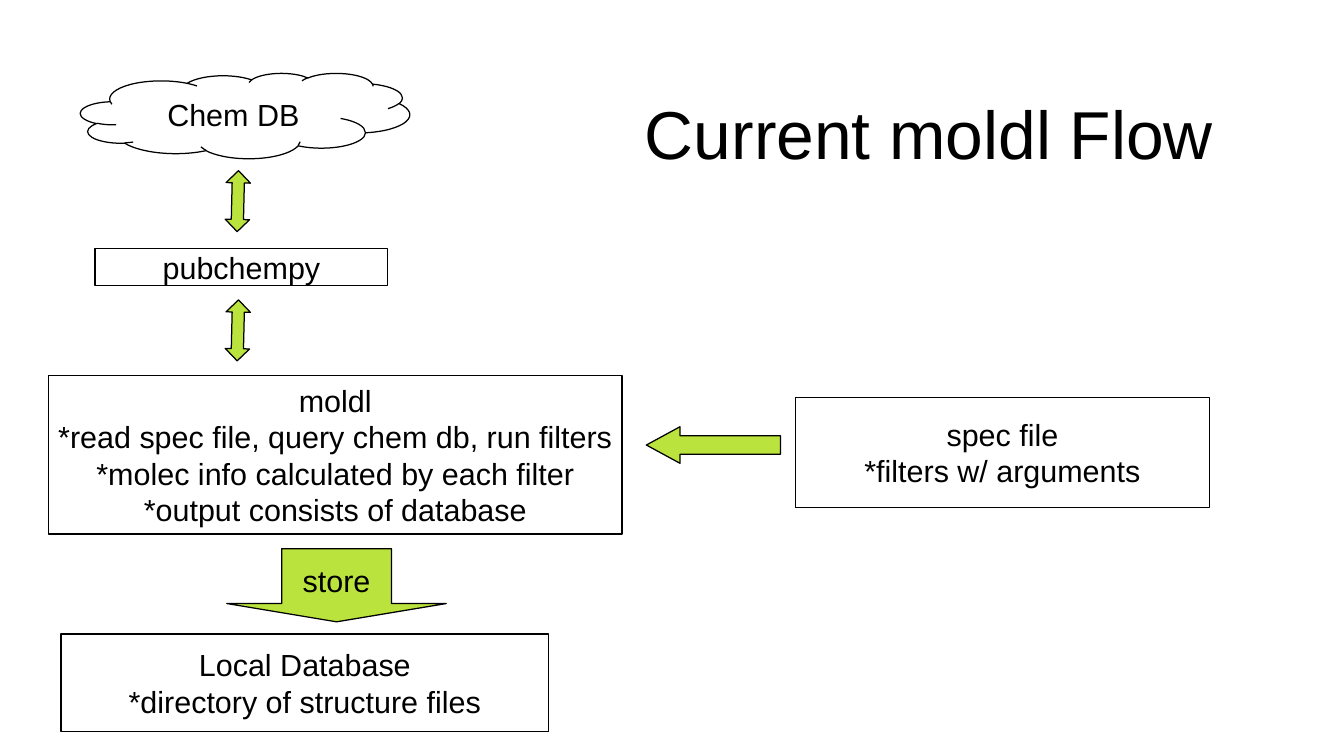
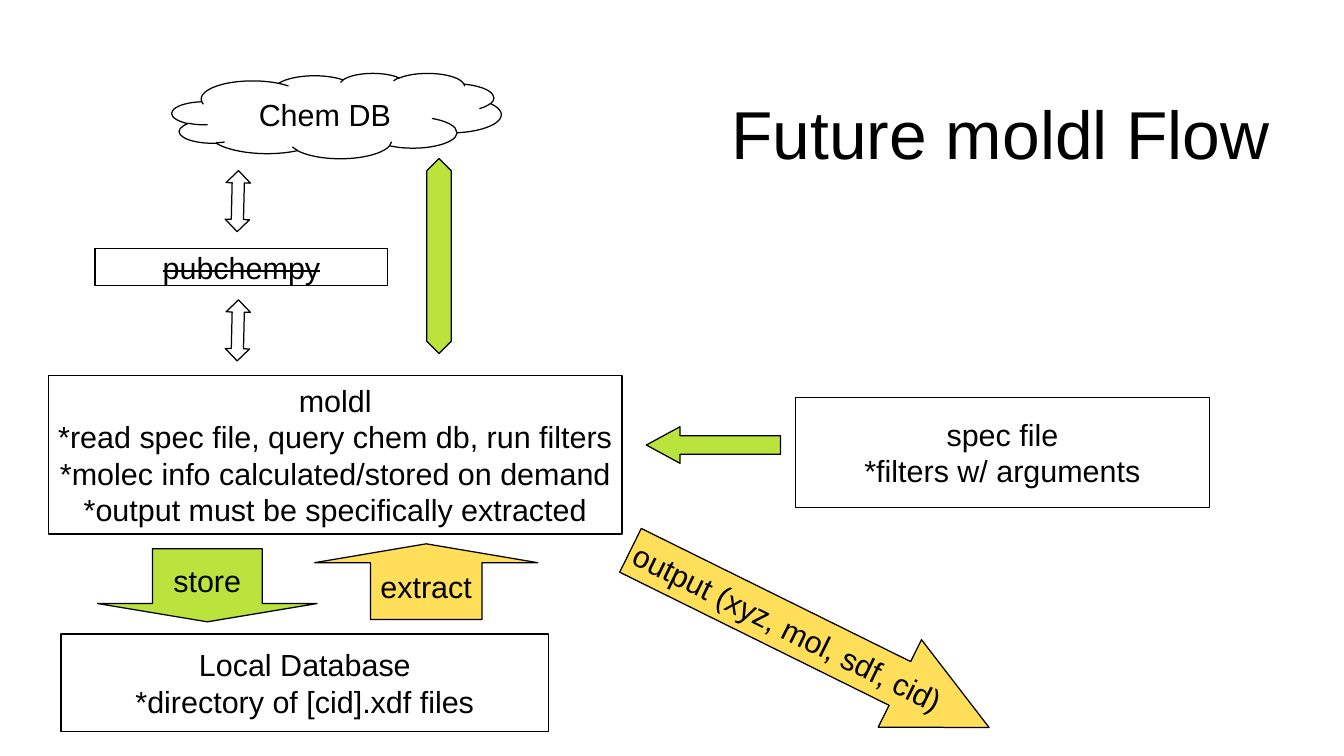
import pptx
import pptx.dml.color
import pptx.enum.shapes
import pptx.enum.text
import pptx.util

Inches = pptx.util.Inches
SHAPES = pptx.enum.shapes.MSO_SHAPE
COLOURS = {"black": "000000", "white": "FFFFFF", "green": "BBE33D", "yellow": "FFDE59"}
FONT = "Arial"
TITLE_SIZE = 40
LABEL_SIZE = 18


def colour(name):
    return pptx.dml.color.RGBColor.from_string(COLOURS[name])


def format_runs(text_frame, size, strike=False):
    for paragraph in text_frame.paragraphs:
        for run in paragraph.runs:
            run.font.name = FONT
            run.font.size = pptx.util.Pt(size)
            run.font.color.rgb = colour("black")
            if strike:
                run.font._element.set("strike", "sngStrike")


def add_title(slide, text, left, width):
    title = slide.shapes.add_textbox(Inches(left), Inches(0.7), Inches(width), Inches(1.34))
    title.text_frame.word_wrap = True
    title.text_frame.text = text
    format_runs(title.text_frame, TITLE_SIZE)


def add_label(shape, text, strike):
    text_frame = shape.text_frame
    text_frame.word_wrap = False
    text_frame.vertical_anchor = pptx.enum.text.MSO_ANCHOR.MIDDLE
    text_frame.text = text
    for paragraph in text_frame.paragraphs:
        paragraph.alignment = pptx.enum.text.PP_ALIGN.CENTER
    format_runs(text_frame, LABEL_SIZE, strike)


def add_block(slide, kind, bounds, fill="white", text="", strike=False):
    shape = slide.shapes.add_shape(kind, *map(Inches, bounds))
    shape.shadow.inherit = False
    shape.fill.solid()
    shape.fill.fore_color.rgb = colour(fill)
    shape.line.color.rgb = colour("black")
    shape.line.width = pptx.util.Pt(0)
    if text:
        add_label(shape, text, strike)
    return shape


def add_arrow(slide, kind, bounds, fill, head, text="", rotation=0):
    arrow = add_block(slide, kind, bounds, fill, text)
    arrow.adjustments[0] = 0.5
    arrow.adjustments[1] = head
    arrow.rotation = rotation


def add_flow(presentation, cloud_left, library_fill, strike, moldl_lines, database_line, store_left):
    slide = presentation.slides.add_slide(presentation.slide_layouts[6])
    for top in (1.55, 2.61):
        add_arrow(slide, SHAPES.LEFT_RIGHT_ARROW, (1.7, top, 0.5, 0.2), library_fill, 0.5, rotation=91.3)
    add_block(slide, SHAPES.CLOUD, (cloud_left, 0.6, 2.7, 0.7), text="Chem DB")
    add_block(slide, SHAPES.RECTANGLE, (0.78, 2.04, 2.4, 0.3), text="pubchempy", strike=strike)
    moldl_text = "\n".join(["moldl", "*read spec file, query chem db, run filters", *moldl_lines])
    add_block(slide, SHAPES.RECTANGLE, (0.4, 3.08, 4.7, 1.3), text=moldl_text)
    add_block(slide, SHAPES.RECTANGLE, (0.5, 5.2, 4, 0.8), text="Local Database\n" + database_line)
    add_arrow(slide, SHAPES.DOWN_ARROW, (store_left, 4.5, 1.8, 0.6), "green", 0.25, "store")
    add_block(slide, SHAPES.RECTANGLE, (6.52, 3.26, 3.4, 0.9), text="spec file\n*filters w/ arguments")
    add_arrow(slide, SHAPES.LEFT_ARROW, (5.3, 3.5, 1.1, 0.3), "green", 0.92)
    return slide


def add_current_flow(presentation):
    slide = add_flow(
        presentation, 0.66, "green", False,
        ["*molec info calculated by each filter", "*output consists of database"],
        "*directory of structure files", 1.86)
    add_title(slide, "Current moldl Flow", 5.19, 5.12)


def add_future_flow(presentation):
    slide = add_flow(
        presentation, 1.41, "white", True,
        ["*molec info calculated/stored on demand", "*output must be specifically extracted"],
        "*directory of [cid].xdf files", 0.8)
    add_arrow(slide, SHAPES.UP_ARROW, (2.58, 4.46, 1.83, 0.62), "yellow", 0.25, "extract")
    add_arrow(slide, SHAPES.RIGHT_ARROW, (5, 4.84, 3.28, 0.8), "yellow", 1.02,
              "output (xyz, mol, sdf, cid)", 26.3)
    add_arrow(slide, SHAPES.UP_DOWN_ARROW, (3.5, 1.3, 0.2, 1.6), "green", 1.59)
    add_title(slide, "Future moldl Flow", 5.9, 5)


def main():
    presentation = pptx.Presentation()
    presentation.slide_width = Inches(11.02)
    presentation.slide_height = Inches(6.2)
    add_current_flow(presentation)
    add_future_flow(presentation)
    presentation.save("out.pptx")


if __name__ == "__main__":
    main()
